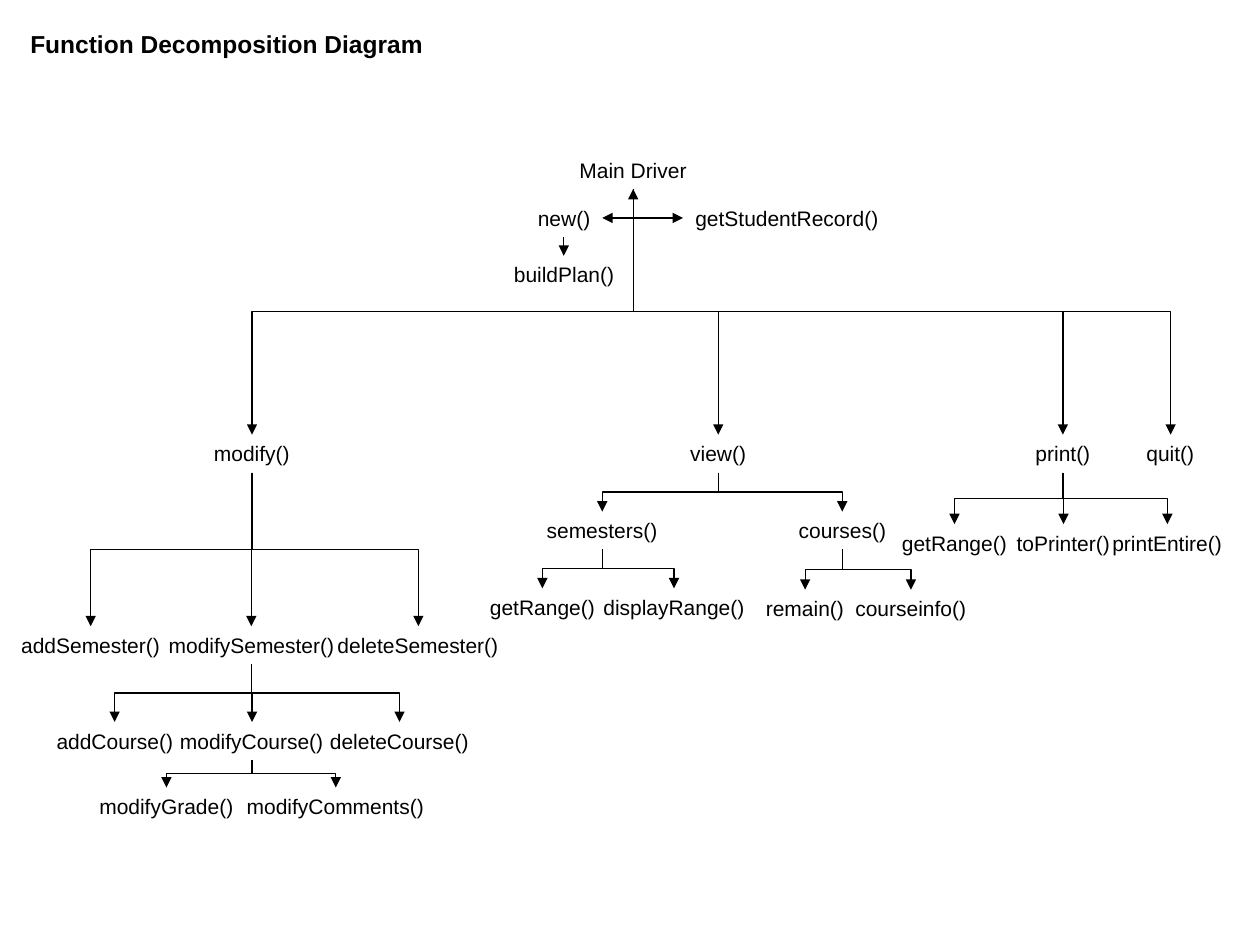
from pptx import Presentation
from pptx.dml.color import RGBColor
from pptx.enum.shapes import MSO_CONNECTOR
from pptx.enum.text import MSO_ANCHOR, MSO_AUTO_SIZE, PP_ALIGN
from pptx.oxml.ns import qn
from pptx.util import Inches, Pt
from lxml.etree import SubElement

BLACK = "000000"
TOP, LEFT, RIGHT = 0, 1, 3
BOTTOM = 2


def write(box, text, size=12, bold=False, color=BLACK, font="Arial"):
    frame = box.text_frame
    frame.word_wrap = False
    frame.auto_size = MSO_AUTO_SIZE.SHAPE_TO_FIT_TEXT
    frame.vertical_anchor = MSO_ANCHOR.TOP
    frame.margin_right = Inches(0.05)
    para = frame.paragraphs[0]
    para.alignment = PP_ALIGN.LEFT
    span = para.add_run()
    span.text = text
    span.font.name = font
    span.font.size = Pt(size)
    span.font.bold = bold
    span.font.color.rgb = RGBColor.from_string(color)


def connect(page, parent, child, side=TOP, ends=("tailEnd",), color=BLACK):
    connector = page.shapes.add_connector(MSO_CONNECTOR.ELBOW, 0, 0, 0, 0)
    connector.begin_connect(parent, BOTTOM)
    connector.end_connect(child, side)
    start_x, start_y = connector.begin_x, connector.begin_y
    run, drop = connector.end_x - start_x, connector.end_y - start_y
    connector.width, connector.height = drop, abs(run)
    connector.left = start_x + (run - drop) // 2
    connector.top = start_y + (drop - abs(run)) // 2
    properties = connector._element.spPr
    transform = properties.find(qn("a:xfrm"))
    transform.set("rot", "16200000" if run > 0 else "5400000")
    transform.set("flipH", "1" if run > 0 else "0")
    transform.set("flipV", "0")
    if side != TOP:
        properties.find(qn("a:prstGeom")).set("prst", "bentConnector2")
    connector.line.width = Pt(0.75)
    connector.line.color.rgb = RGBColor.from_string(color)
    outline = properties.find(qn("a:ln"))
    for end in ends:
        SubElement(outline, qn(f"a:{end}"), type="triangle")
    SubElement(properties, qn("a:effectLst"))


deck = Presentation()
deck.slide_width, deck.slide_height = Inches(10), Inches(7.5)
column, row = deck.slide_width / 100, deck.slide_height / 75
page = deck.slides.add_slide(deck.slide_layouts[5])

title = page.shapes.title
title.left, title.top = int(1.4 * column), int(1.8 * row)
title.width, title.height = int(33.2 * column), int(3.4 * row)
write(title, "Function Decomposition Diagram", size=14, bold=True)

levels = [
    (12, None, [("Main Driver", 45, 10.5)]),
    (15.8, "Main Driver", [("getStudentRecord()", 54.2, 16.5), ("new()", 41.7, 6.1)]),
    (20.3, "new()", [("buildPlan()", 39.8, 9.9)]),
    (34.5, "Main Driver", [("modify()", 16, 8), ("view()", 53.8, 6.4),
                           ("print()", 81.2, 6.3), ("quit()", 90, 5.8)]),
    (49.7, "modify()", [("addSemester()", 0.7, 13), ("modifySemester()", 12.4, 15.1),
                        ("deleteSemester()", 25.8, 14.8)]),
    (57.3, "modifySemester()", [("addCourse()", 3.5, 11.2), ("modifyCourse()", 13.3, 13.4),
                                ("deleteCourse()", 25.2, 13)]),
    (62.5, "modifyCourse()", [("modifyGrade()", 6.9, 12.6), ("modifyComments()", 18.6, 16.1)]),
    (40.6, "view()", [("semesters()", 42.4, 10.8), ("courses()", 62.4, 8.9)]),
    (46.7, "semesters()", [("getRange()", 37.9, 10.3), ("displayRange()", 46.9, 13.2)]),
    (46.8, "courses()", [("remain()", 59.8, 8.2), ("courseinfo()", 66.9, 10.8)]),
    (41.6, "print()", [("getRange()", 70.6, 10.3), ("toPrinter()", 79.7, 9.4),
                       ("printEntire()", 87.3, 10.7)]),
]
side_links = {
    "getStudentRecord()": {"side": LEFT, "ends": ("headEnd", "tailEnd")},
    "new()": {"side": RIGHT},
}

boxes = {}
for top, parent, functions in levels:
    for name, left, width in functions:
        box = page.shapes.add_textbox(
            int(left * column), int(top * row), int(width * column), int(3 * row))
        write(box, name)
        boxes[name] = box
        if parent:
            connect(page, boxes[parent], box, **side_links.get(name, {}))

deck.save("out.pptx")
